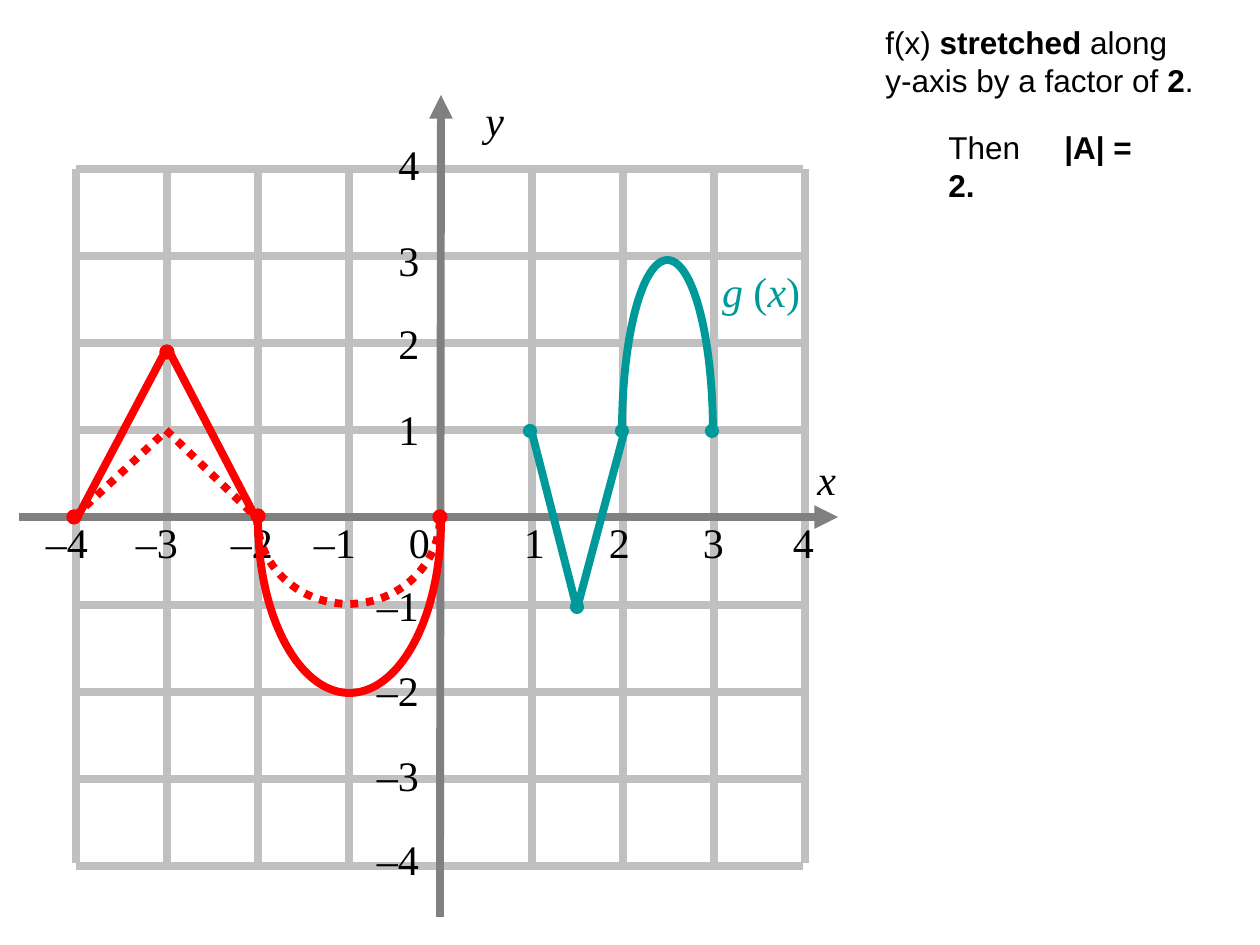
from lxml.etree import SubElement
from pptx import Presentation
from pptx.dml.color import RGBColor
from pptx.enum.dml import MSO_LINE
from pptx.enum.shapes import MSO_CONNECTOR as Link, MSO_SHAPE as Preset
from pptx.oxml.ns import qn
from pptx.util import Emu, Pt

SCALE = 914400 / 126
GRID = RGBColor(0xC0, 0xC0, 0xC0)
AXIS = RGBColor(0x80, 0x80, 0x80)
BLACK = RGBColor(0, 0, 0)
RED = RGBColor(0xFF, 0, 0)
TEAL = RGBColor(0, 0x99, 0x99)
DOTTED = MSO_LINE.ROUND_DOT

# Content; lengths in px
LEFT, RIGHT, TOP, BOTTOM, CELLS = 76, 805, 169, 866, 8
AXES = [((19, 517), (838, 517)), ((440, 917), (441, 95))]

# Axis numbers: words, left, top, width, height
NUMBERS = [
    ("1", 386, 397, 77, 62), ("2", 386, 311, 84, 63),
    ("3", 386, 228, 73, 72), ("4", 386, 132, 73, 72),
    (" –4", 23, 510, 81, 62), (" –3", 113, 510, 94, 62),
    (" –2", 208, 510, 94, 62), (" –1", 291, 510, 94, 62),
    (" 0", 386, 510, 94, 62), (" 1", 501, 510, 94, 62),
    (" 2", 586, 510, 94, 62), (" 3", 680, 510, 76, 62),
    (" 4", 770, 510, 59, 62), (" –4", 354, 827, 94, 62),
    (" –3", 354, 743, 94, 62), (" –2", 354, 658, 94, 62),
    (" –1", 354, 573, 94, 62),
]

MATH = {"size": Pt(24), "name": "Times New Roman"}
ITALIC = {**MATH, "italic": True}
PLAIN = {"size": Pt(18), "name": "Arial"}
BOLD = {**PLAIN, "bold": True}

# Each text: box, format of the frame, colour, paragraphs of (words, format)
WRAPPED = {"word_wrap": True}
UNWRAPPED = {"word_wrap": False}
TIGHT = {**WRAPPED, "margin_left": 0, "margin_right": 0,
         "margin_top": 0, "margin_bottom": 0}
TEXTS = [
    ((805, 447, 47, 79), WRAPPED, BLACK, [[("x", ITALIC)]]),
    ((473, 88, 125, 125), WRAPPED, BLACK, [[("y", ITALIC)]]),
    ((873, 17, 333, 88), UNWRAPPED, BLACK, [
        [("f(x) ", PLAIN), ("stretched", BOLD), (" along", PLAIN)],
        [("y-axis by a factor of ", PLAIN), ("2", BOLD), (".", PLAIN)]]),
    ((936, 122, 243, 50), UNWRAPPED, BLACK,
     [[("Then\t", PLAIN), ("|A| = 2.", BOLD)]]),
    ((722, 266, 95, 78), TIGHT, TEAL,
     [[("g", ITALIC), (" (", MATH), ("x", ITALIC), (")", MATH)]]),
]
TAB_STOP = 116

# Each graph: straight parts, ellipse box, half turn from its left end, dots
GRAPHS = [
    {"color": RED, "dash": None,
     "lines": [((76, 520), (166, 350)), ((168, 349), (257, 520))],
     "arc": (258, 349, 183, 344), "turn": -180, "dot": 14,
     "dots": [(167, 352), (74, 517), (440, 517), (258, 516)]},
    {"color": TEAL, "dash": None,
     "lines": [((532, 433), (576, 605)), ((578, 605), (624, 433))],
     "arc": (622, 260, 91, 344), "turn": 180, "dot": 13,
     "dots": [(577, 607), (530, 431), (712, 431), (622, 431)]},
    {"color": RED, "dash": DOTTED,
     "lines": [((74, 517), (166, 431)), ((166, 430), (256, 517))],
     "arc": (257, 430, 183, 174), "turn": -180, "dot": 0, "dots": []},
]
DEGREE = 60000


def px(*lengths):
    return [Emu(round(length * SCALE)) for length in lengths]


def style_line(line, color, width=4.5, dash=None):
    line.color.rgb = color
    line.width = Pt(width)
    if dash:
        line.dash_style = dash


def add_line(page, start, end, color, dash=None, arrow=False):
    link = page.shapes.add_connector(Link.STRAIGHT, *px(*start, *end))
    style_line(link.line, color, dash=dash)
    props = link._element.spPr
    if arrow:
        SubElement(props.find(qn("a:ln")), qn("a:tailEnd"), type="triangle")
    SubElement(props, qn("a:effectLst"))


def add_half_ellipse(page, place, turn, color, dash):
    left, top, width, height = px(*place)
    builder = page.shapes.build_freeform(left, top)
    builder.add_line_segments([(left + width, top + height)], close=False)
    curve = builder.convert_to_shape()

    # The diagonal fixes the box; an arc then takes its place
    outline = next(curve._element.iter(qn("a:path")))
    for part in list(outline):
        outline.remove(part)
    start = SubElement(outline, qn("a:moveTo"))
    SubElement(start, qn("a:pt"), x="0", y=str(height // 2))
    SubElement(outline, qn("a:arcTo"), wR=str(width // 2), hR=str(height // 2),
               stAng=str(180 * DEGREE), swAng=str(turn * DEGREE))

    curve.shadow.inherit = False
    curve.fill.background()
    style_line(curve.line, color, dash=dash)


def add_dot(page, center, size, color):
    x, y = center
    dot = page.shapes.add_shape(
        Preset.OVAL, *px(x - size / 2, y - size / 2, size, size))
    dot.shadow.inherit = False
    dot.fill.solid()
    dot.fill.fore_color.rgb = color
    style_line(dot.line, color, 0.75)


def add_text(page, place, layout, color, paragraphs):
    frame = page.shapes.add_textbox(*px(*place)).text_frame
    for key, value in layout.items():
        setattr(frame, key, value)
    for index, spans in enumerate(paragraphs):
        para = frame.add_paragraph() if index else frame.paragraphs[0]
        if any("\t" in words for words, _ in spans):
            tabs = SubElement(para._p.get_or_add_pPr(), qn("a:tabLst"))
            SubElement(tabs, qn("a:tab"), pos=str(px(TAB_STOP)[0]), algn="l")
        for words, look in spans:
            span = para.add_run()
            span.text = words
            span.font.color.rgb = color
            for key, value in look.items():
                setattr(span.font, key, value)


def main():
    deck = Presentation()
    deck.slide_width, deck.slide_height = px(1260, 945)
    page = deck.slides.add_slide(deck.slide_layouts[6])

    # Grid and axes
    for step in range(CELLS + 1):
        x = LEFT + (RIGHT - LEFT) * step / CELLS
        add_line(page, (x, TOP), (x, BOTTOM - 3), GRID)
    for step in range(CELLS + 1):
        y = BOTTOM - (BOTTOM - TOP) * step / CELLS
        add_line(page, (LEFT, y), (RIGHT - 2, y), GRID)
    for start, end in AXES:
        add_line(page, start, end, AXIS, arrow=True)

    # Axis numbers, names and notes
    for words, *place in NUMBERS:
        add_text(page, place, WRAPPED, BLACK, [[(words, MATH)]])
    for text in TEXTS:
        add_text(page, *text)

    # Graphs
    for graph in GRAPHS:
        color, dash = graph["color"], graph["dash"]
        for start, end in graph["lines"]:
            add_line(page, start, end, color, dash)
        add_half_ellipse(page, graph["arc"], graph["turn"], color, dash)
        for center in graph["dots"]:
            add_dot(page, center, graph["dot"], color)

    deck.save("out.pptx")


if __name__ == "__main__":
    main()
